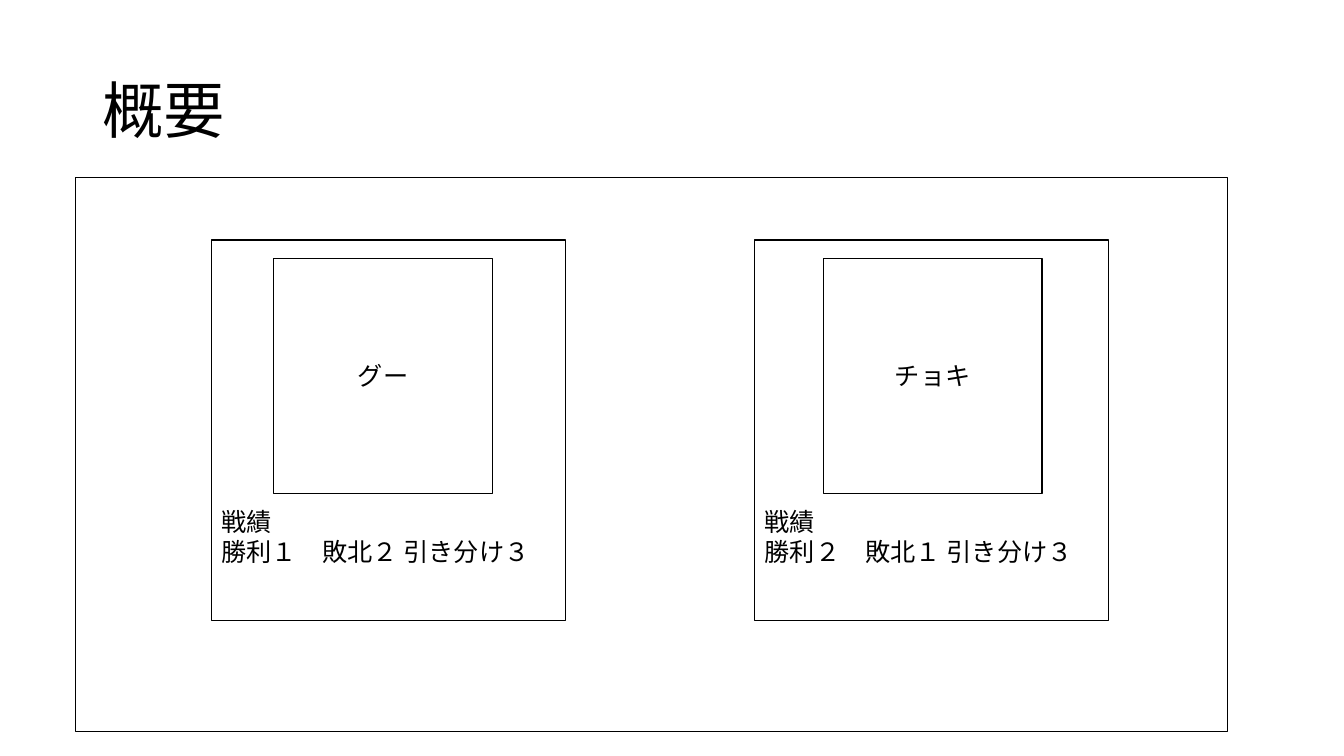
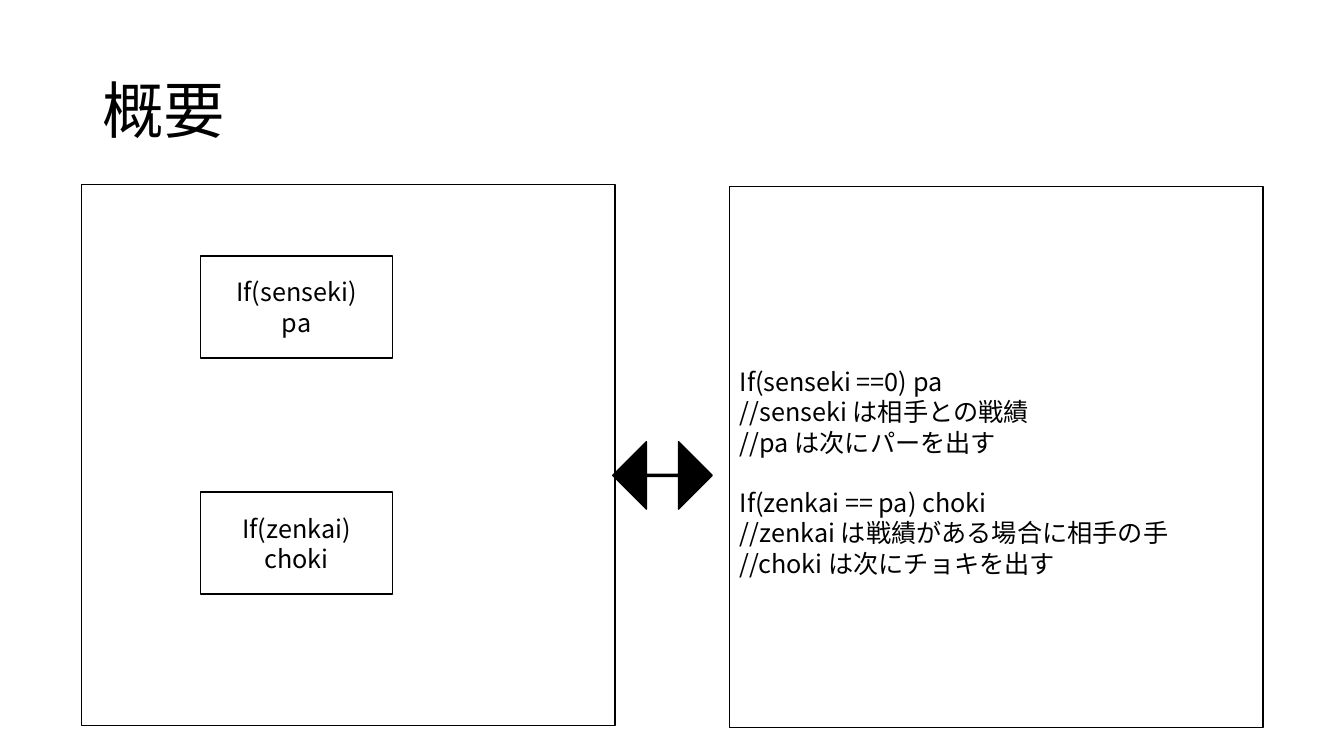
from pptx import Presentation
from pptx.dml.color import RGBColor
from pptx.enum.shapes import MSO_SHAPE
from pptx.enum.text import MSO_ANCHOR, PP_ALIGN
from pptx.util import Cm, Pt
from lxml import etree

RECT, ARROW = MSO_SHAPE.RECTANGLE, MSO_SHAPE.LEFT_RIGHT_ARROW
LEFT, CENTER = PP_ALIGN.LEFT, PP_ALIGN.CENTER
MIDDLE, BOTTOM = MSO_ANCHOR.MIDDLE, MSO_ANCHOR.BOTTOM

COLORS = {"paper": "FFFFFF", "ink": "000000"}
FONT = "Noto Sans CJK JP"
DRAWING_NS = "{http://schemas.openxmlformats.org/drawingml/2006/main}"
TITLE_SIZE, BODY_SIZE = Pt(44), Pt(18)
LINE_PITCH = Pt(21.6)
TITLE_BOX = (2.33, 1.02, 29.21, 3.68)

CODE = [
    ["If(senseki ==0) pa", "//senseki は相手との戦績", "//pa は次にパーを出す"],
    ["If(zenkai == pa) choki", "//zenkai は戦績がある場合に相手の手",
     "//choki は次にチョキを出す"],
]


def rgb(name):
    return RGBColor.from_string(COLORS[name])


def write(tf, lines, size, spacing, align=LEFT, anchor=MIDDLE):
    tf.word_wrap = True
    tf.vertical_anchor = anchor
    tf.text = "\n".join(lines)
    for p in tf.paragraphs:
        p.alignment = align
        p.line_spacing = spacing
        for r in p.runs:
            r.font.size = size
            r.font.name = FONT
            r.font.color.rgb = rgb("ink")
            east_asian = etree.SubElement(r.font._element, DRAWING_NS + "ea")
            east_asian.set("typeface", FONT)


def add_box(s, box, lines=(), align=LEFT, anchor=MIDDLE, kind=RECT, fill="paper"):
    sp = s.shapes.add_shape(kind, *map(Cm, box))
    sp.shadow.inherit = False
    sp.fill.solid()
    sp.fill.fore_color.rgb = rgb(fill)
    sp.line.color.rgb = rgb("ink")
    sp.line.width = Pt(1)
    if lines:
        write(sp.text_frame, lines, BODY_SIZE, LINE_PITCH, align, anchor)
    return sp


def add_titled_slide(prs, title):
    s = prs.slides.add_slide(prs.slide_layouts[6])
    tb = s.shapes.add_textbox(*map(Cm, TITLE_BOX))
    write(tb.text_frame, [title], TITLE_SIZE, 0.9)
    return s


def add_player_card(s, box, hand, hand_offset, record):
    """Card with the hand shown on top and the match record below it."""
    x, y = box[:2]
    card = add_box(s, box, ["戦績", record], anchor=BOTTOM)
    card.text_frame.margin_bottom = Cm(1.35)
    add_box(s, (x + hand_offset, y + 0.46, 5.51, 5.92), [hand], CENTER)


def add_rule_panel(s, box):
    x, y = box[:2]
    add_box(s, box)
    for i, rule in enumerate([["If(senseki)", "pa"], ["If(zenkai)", "choki"]]):
        add_box(s, (x + 3, y + 1.8 + i * 5.95, 4.83, 2.57), rule, CENTER)


def add_code_panel(s, box):
    panel = add_box(s, box, [line for block in CODE for line in block])
    tf = panel.text_frame
    tf.margin_top = Cm(0.89)
    tf.paragraphs[len(CODE[0])].space_before = LINE_PITCH


def add_exchange_arrow(s, box):
    arrow = add_box(s, box, kind=ARROW, fill="ink")
    arrow.adjustments[0] = 0.03
    arrow.adjustments[1] = 0.5


def build_match_slide(prs):
    s = add_titled_slide(prs, "概要")
    add_box(s, (1.9, 4.47, 29.03, 13.97))
    add_player_card(s, (5.33, 6.05, 8.92, 9.58), "グー", 1.57,
                    "勝利１　敗北２ 引き分け３")
    add_player_card(s, (19.02, 6.05, 8.92, 9.58), "チョキ", 1.73,
                    "勝利２　敗北１ 引き分け３")


def build_rules_slide(prs):
    s = add_titled_slide(prs, "概要")
    add_rule_panel(s, (2.06, 4.65, 13.44, 13.64))
    add_exchange_arrow(s, (15.44, 11.13, 2.51, 1.7))
    add_code_panel(s, (18.39, 4.7, 13.44, 13.64))


def main():
    prs = Presentation()
    prs.slide_width, prs.slide_height = Cm(33.87), Cm(19.05)
    build_match_slide(prs)
    build_rules_slide(prs)
    prs.save("out.pptx")


if __name__ == "__main__":
    main()
